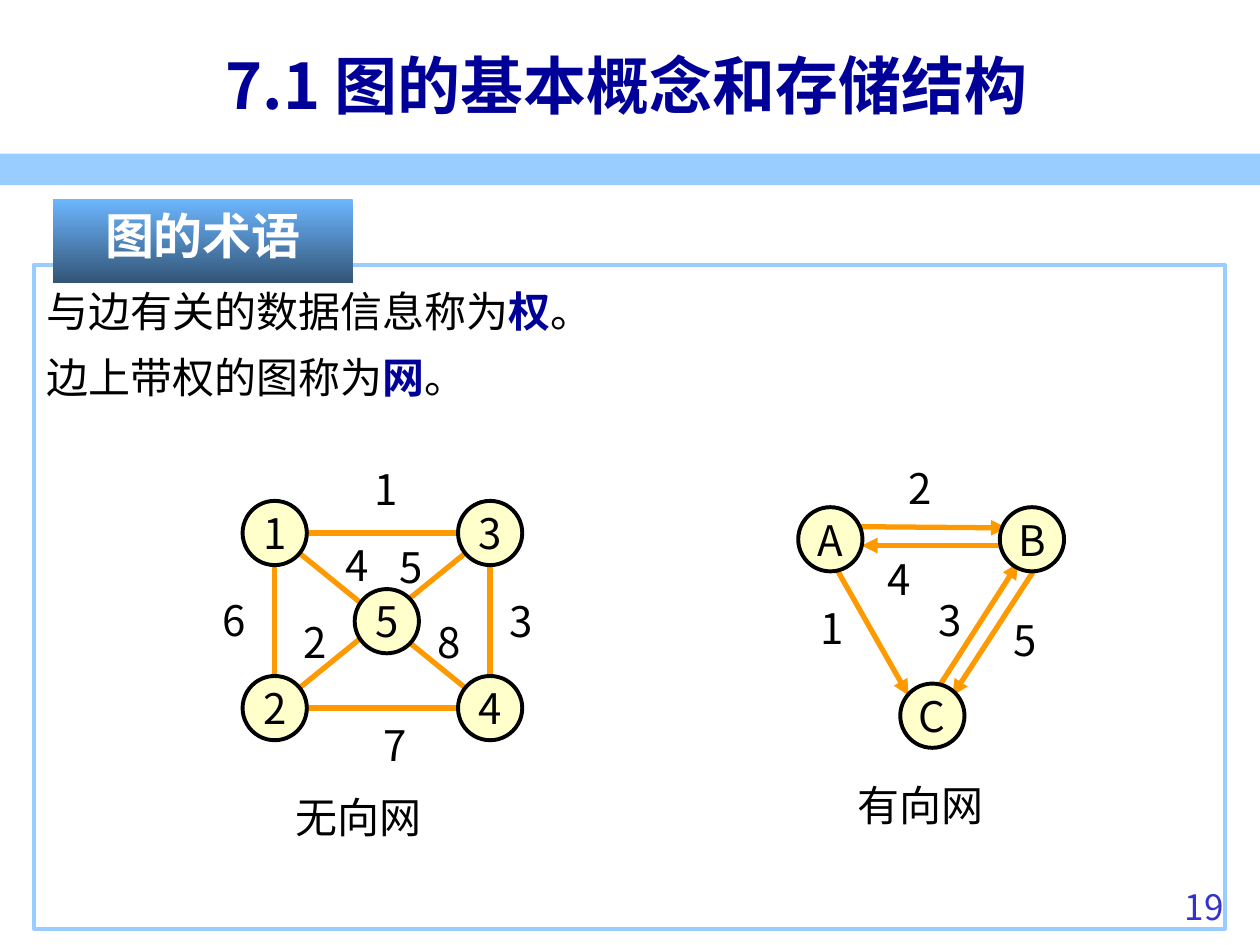
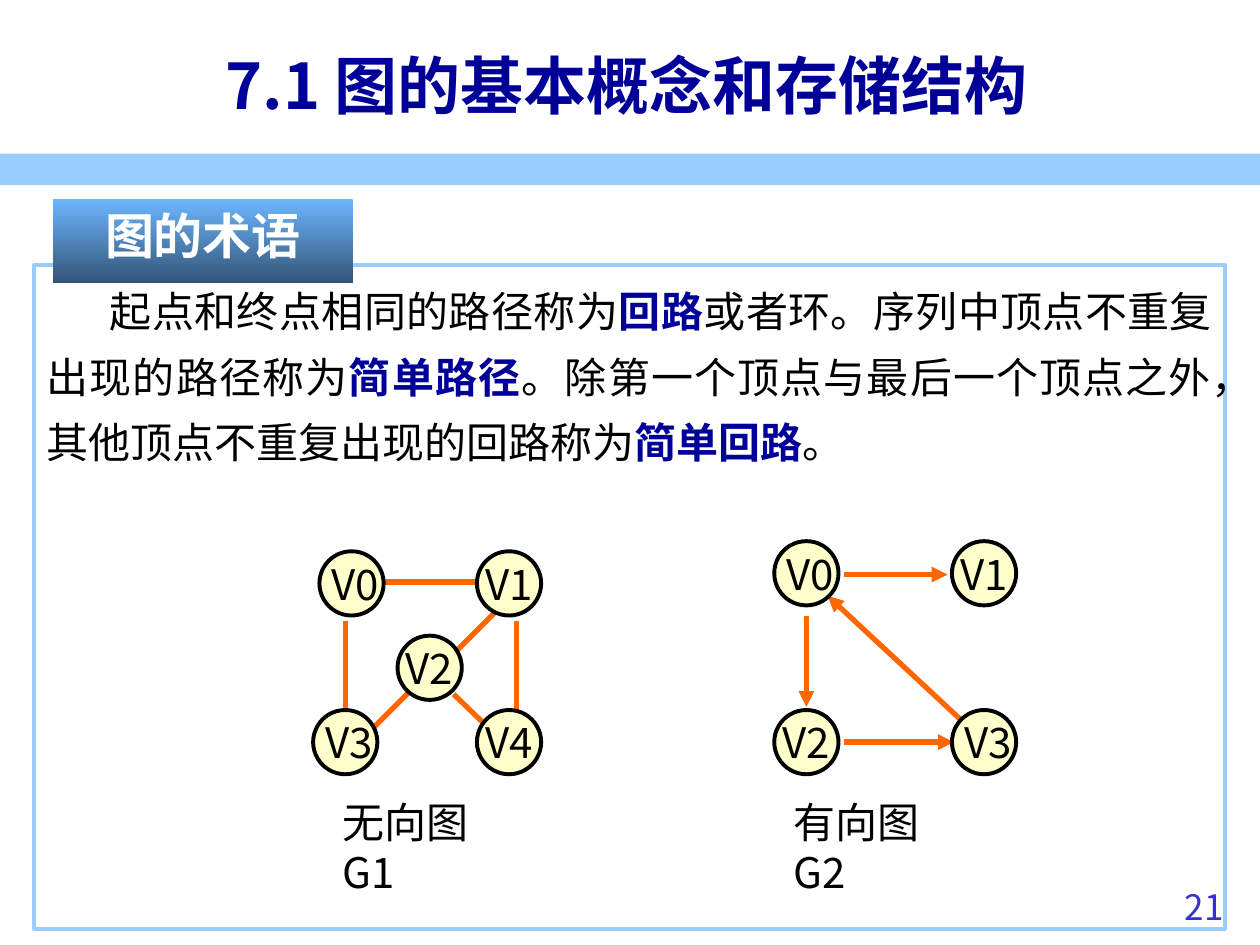
from dataclasses import dataclass

from lxml import etree
from pptx import Presentation
from pptx.dml.color import RGBColor
from pptx.enum.shapes import MSO_CONNECTOR, MSO_SHAPE
from pptx.enum.text import MSO_ANCHOR, MSO_AUTO_SIZE, PP_ALIGN
from pptx.oxml.ns import qn
from pptx.util import Inches, Pt

STRAIGHT = MSO_CONNECTOR.STRAIGHT
RECTANGLE, OVAL = MSO_SHAPE.RECTANGLE, MSO_SHAPE.OVAL
TOP, MIDDLE = MSO_ANCHOR.TOP, MSO_ANCHOR.MIDDLE
NO_AUTOFIT = MSO_AUTO_SIZE.NONE
LEFT, CENTER, RIGHT, JUSTIFY = (PP_ALIGN.LEFT, PP_ALIGN.CENTER,
                                PP_ALIGN.RIGHT, PP_ALIGN.JUSTIFY)

NAVY = RGBColor(0x00, 0x00, 0x99)
SKY = RGBColor(0x99, 0xCC, 0xFF)
BADGE_TOP = RGBColor(0x6D, 0xB6, 0xFF)
BADGE_BOTTOM = RGBColor(0x32, 0x54, 0x76)
PAGE_BLUE = RGBColor(0x33, 0x33, 0xCC)
CREAM = RGBColor(0xFF, 0xFF, 0xCC)
AMBER = RGBColor(0xFF, 0x99, 0x00)
ORANGE = RGBColor(0xFF, 0x66, 0x00)
BLACK = RGBColor(0x00, 0x00, 0x00)
WHITE = RGBColor(0xFF, 0xFF, 0xFF)

FONT = "Noto Sans CJK SC"
PAGE_FONT = "Noto Sans CJK KR"
NODE_SIZE = 0.51
TITLE = "7.1 图的基本概念和存储结构"
SECTION = "图的术语"

Point = tuple[float, float]


@dataclass
class Node:
    text: str
    center: Point
    shift: float = 0  # extra left inset that moves the name right


@dataclass
class Edge:
    start: Point
    end: Point
    arrow: bool = False


@dataclass
class Label:
    text: str
    left: float
    top: float
    width: float = 0.17


@dataclass
class Graph:
    color: RGBColor
    nodes: list[Node]
    edges: list[Edge]
    weights: list[Label]
    caption: Label


@dataclass
class Page:
    number: str
    paragraphs: list[list[str]]  # every second piece is a key term
    first_indent: float
    graphs: list[Graph]


def place(shape, left: float, top: float, width: float, height: float) -> None:
    shape.left, shape.top = Inches(left), Inches(top)
    shape.width, shape.height = Inches(width), Inches(height)


def style(paragraph, size: int, color: RGBColor, align=LEFT,
          bold: bool = False, name: str = FONT) -> None:
    """Format a whole paragraph, East Asian typeface included."""
    paragraph.alignment = align
    paragraph.space_before = Pt(0)
    font = paragraph.font
    font.size, font.bold, font.name = Pt(size), bold, name
    font.color.rgb = color
    defaults = paragraph._p.pPr.find(qn("a:defRPr"))
    etree.SubElement(defaults, qn("a:ea")).set("typeface", name)


def add_text(slide, label: Label, height: float, size: int = 24,
             color: RGBColor = BLACK, align=LEFT, name: str = FONT):
    box = slide.shapes.add_textbox(Inches(label.left), Inches(label.top),
                                   Inches(label.width), Inches(height))
    frame = box.text_frame
    frame.word_wrap = True
    frame.text = label.text
    style(frame.paragraphs[0], size, color, align, name=name)
    return frame


def add_block(slide, kind, left: float, top: float, width: float, height: float):
    block = slide.shapes.add_shape(kind, Inches(left), Inches(top),
                                   Inches(width), Inches(height))
    block.shadow.inherit = False
    block.line.fill.background()
    return block


def clear_margins(frame) -> None:
    frame.margin_left = frame.margin_right = 0
    frame.margin_top = frame.margin_bottom = 0
    frame.word_wrap = False


def add_title(slide) -> None:
    title = slide.shapes.title
    place(title, 1.69, 0.21, 8.19, 0.92)
    frame = title.text_frame
    frame.text = TITLE
    frame.vertical_anchor, frame.auto_size = MIDDLE, NO_AUTOFIT
    style(frame.paragraphs[0], 36, NAVY, bold=True)


def add_body(slide, page: Page) -> None:
    body = slide.placeholders[1]
    place(body, 0.27, 2.1, 9.45, 5.27)
    body.line.color.rgb, body.line.width = SKY, Pt(2.25)
    frame = body.text_frame
    frame.vertical_anchor, frame.auto_size = TOP, NO_AUTOFIT
    for index, pieces in enumerate(page.paragraphs):
        paragraph = frame.add_paragraph() if index else frame.paragraphs[0]
        paragraph.line_spacing = 1.3
        properties = paragraph._p.get_or_add_pPr()
        properties.set("marL", "0")
        properties.set("indent", str(Inches(page.first_indent)))
        etree.SubElement(properties, qn("a:buNone"))
        style(paragraph, 24, BLACK, JUSTIFY)
        for position, piece in enumerate(pieces):
            run = paragraph.add_run()
            run.text = piece
            if position % 2:
                run.font.bold = True
                run.font.color.rgb = NAVY


def add_badge(slide) -> None:
    badge = add_block(slide, RECTANGLE, 0.42, 1.58, 2.38, 0.67)
    badge.fill.gradient()
    badge.fill.gradient_angle = 270
    for stop, color in zip(badge.fill.gradient_stops, (BADGE_TOP, BADGE_BOTTOM)):
        stop.color.rgb = color
    badge.text_frame.text = SECTION
    badge.text_frame.vertical_anchor = TOP
    style(badge.text_frame.paragraphs[0], 28, WHITE, CENTER, bold=True)


def add_edge(slide, edge: Edge, color: RGBColor) -> None:
    x1, y1, x2, y2 = (Inches(value) for value in edge.start + edge.end)
    connector = slide.shapes.add_connector(STRAIGHT, x1, y1, x2, y2)
    connector.line.color.rgb, connector.line.width = color, Pt(3)
    if edge.arrow:
        line = connector.line._get_or_add_ln()
        etree.SubElement(line, qn("a:tailEnd")).set("type", "triangle")
    etree.SubElement(connector._element.spPr, qn("a:effectLst"))


def add_node(slide, node: Node) -> None:
    x, y = node.center
    circle = add_block(slide, OVAL, x - NODE_SIZE / 2, y - NODE_SIZE / 2,
                       NODE_SIZE, NODE_SIZE)
    circle.fill.solid()
    circle.fill.fore_color.rgb = CREAM
    circle.line.color.rgb, circle.line.width = BLACK, Pt(2.25)
    frame = circle.text_frame
    clear_margins(frame)
    frame.margin_left = Inches(node.shift)
    frame.vertical_anchor = MIDDLE
    frame.text = node.text
    style(frame.paragraphs[0], 24, BLACK, CENTER)


def add_graph(slide, graph: Graph) -> None:
    for edge in graph.edges:
        add_edge(slide, edge, graph.color)
    for node in graph.nodes:
        add_node(slide, node)
    for weight in graph.weights:
        clear_margins(add_text(slide, weight, 0.4))
    add_text(slide, graph.caption, 0.5)


def add_page(deck, page: Page) -> None:
    slide = deck.slides.add_slide(deck.slide_layouts[1])
    band = add_block(slide, RECTANGLE, 0, 1.22, 10, 0.25)
    band.fill.solid()
    band.fill.fore_color.rgb = SKY
    add_title(slide)
    add_body(slide, page)
    add_badge(slide)
    for graph in page.graphs:
        add_graph(slide, graph)
    add_text(slide, Label(page.number, 8.86, 6.98, 0.95), 0.52, 20,
             PAGE_BLUE, RIGHT, PAGE_FONT)


# Weighted graphs
net_centers = {"1": (2.18, 4.23), "2": (2.18, 5.62), "3": (3.89, 4.23),
               "4": (3.89, 5.62), "5": (3.07, 4.93)}
undirected_net = Graph(
    AMBER,
    [Node(name, center) for name, center in net_centers.items()],
    [Edge(net_centers[a], net_centers[b])
     for a, b in ("12", "24", "43", "13", "32", "41")],
    [Label("1", 2.97, 3.68), Label("7", 3.04, 5.71), Label("6", 1.77, 4.72),
     Label("3", 4.04, 4.73), Label("2", 2.41, 4.89), Label("4", 2.74, 4.28),
     Label("5", 3.17, 4.3), Label("8", 3.47, 4.89)],
    Label("无向网", 2.25, 6.23, 1.96),
)
directed_net = Graph(
    AMBER,
    [Node("A", (6.59, 4.28)), Node("B", (8.19, 4.28)), Node("C", (7.4, 5.68))],
    [Edge((6.83, 4.18), (7.99, 4.19), True),
     Edge((8, 4.33), (6.84, 4.33), True),
     Edge((6.54, 4.34), (7.21, 5.52), True),
     Edge((7.4, 5.53), (8.08, 4.47), True),
     Edge((8.25, 4.46), (7.56, 5.52), True)],
    [Label("2", 7.21, 3.67), Label("1", 6.51, 4.78), Label("4", 7.04, 4.39),
     Label("3", 7.45, 4.72), Label("5", 8.04, 4.88)],
    Label("有向网", 6.71, 6.14, 2.23),
)

# Unweighted graphs
undirected_graph = Graph(
    ORANGE,
    [Node("V0", (2.79, 4.63), 0.06), Node("V1", (4.04, 4.63)),
     Node("V2", (3.41, 5.3)), Node("V3", (2.74, 5.89), 0.06),
     Node("V4", (4.04, 5.89))],
    [Edge((2.74, 4.93), (2.74, 5.65)), Edge((3.03, 4.62), (3.86, 4.62)),
     Edge((4.1, 4.93), (4.1, 5.65)), Edge((3.27, 5.47), (2.97, 5.77)),
     Edge((3.92, 4.87), (3.62, 5.17)), Edge((3.6, 5.51), (3.86, 5.76))],
    [],
    Label("无向图\vG1", 2.62, 6.27, 1.53),
)
directed_graph = Graph(
    ORANGE,
    [Node("V0", (6.4, 4.55), 0.06), Node("V1", (7.81, 4.55)),
     Node("V2", (6.4, 5.89)), Node("V3", (7.81, 5.89), 0.06)],
    [Edge((6.4, 4.89), (6.4, 5.61), True), Edge((6.7, 5.89), (7.57, 5.89), True),
     Edge((6.7, 4.56), (7.52, 4.56), True), Edge((7.72, 5.8), (6.57, 4.73), True)],
    [],
    Label("有向图\vG2", 6.2, 6.27, 1.53),
)

PAGES = [
    Page("19", [["与边有关的数据信息称为", "权", "。"],
                ["边上带权的图称为", "网", "。"]],
         0, [undirected_net, directed_net]),
    Page("21", [["起点和终点相同的路径称为", "回路",
                 "或者环。序列中顶点不重复出现的路径称为", "简单路径",
                 "。除第一个顶点与最后一个顶点之外，其他顶点不重复出现的回路称为",
                 "简单回路", "。"]],
         0.5, [undirected_graph, directed_graph]),
]


def main() -> None:
    deck = Presentation()
    deck.slide_width, deck.slide_height = Inches(10), Inches(7.5)
    for page in PAGES:
        add_page(deck, page)
    deck.save("out.pptx")


if __name__ == "__main__":
    main()
